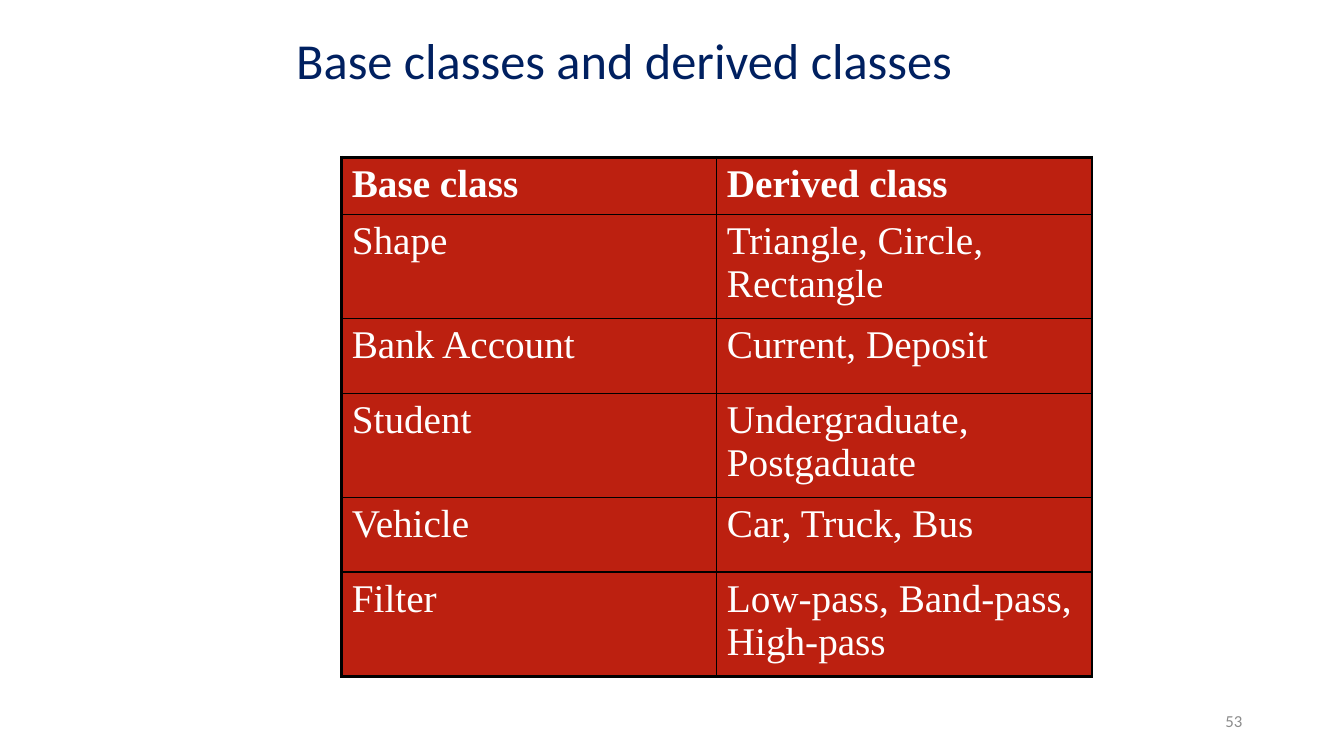
from typing import NamedTuple

from lxml.etree import SubElement
from pptx import Presentation
from pptx.dml.color import RGBColor
from pptx.enum.text import MSO_ANCHOR as Anchor, PP_ALIGN as Align
from pptx.oxml.ns import qn
from pptx.util import Inches, Pt

NAVY = RGBColor(0x00, 0x20, 0x60)
RED = RGBColor(0xBC, 0x20, 0x10)
WHITE = RGBColor(0xFF, 0xFF, 0xFF)
GRAY = RGBColor(0x8C, 0x8C, 0x8C)
BLACK = RGBColor(0x00, 0x00, 0x00)

OUTER_LINE = Pt(2.25)
INNER_LINE = Pt(1)
HEADER_HEIGHT = 0.2
ROW_HEIGHT = 0.74


class Label(NamedTuple):
    text: str
    left: float
    top: float
    width: float
    height: float
    size: int
    color: RGBColor
    align: Align
    line_spacing: float


class Family(NamedTuple):
    base: str
    derived: str


LABELS = [
    Label("Base classes and derived classes", 2.84, 0, 8.5, 1.25, 36, NAVY, Align.LEFT, 0.9),
    Label("53", 9.42, 6.95, 3, 0.4, 12, GRAY, Align.RIGHT, 1.0),
]

FAMILIES = [
    Family("Base class", "Derived class"),
    Family("Shape", "Triangle, Circle, Rectangle"),
    Family("Bank Account", "Current, Deposit"),
    Family("Student", "Undergraduate, Postgaduate"),
    Family("Vehicle", "Car, Truck, Bus"),
    Family("Filter", "Low-pass, Band-pass, High-pass"),
]


def style_font(font, name: str, size: int, color: RGBColor, bold: bool = False) -> None:
    for attribute, value in {"name": name, "size": Pt(size), "bold": bold}.items():
        setattr(font, attribute, value)
    font.color.rgb = color


def add_label(slide, label: Label) -> None:
    box = slide.shapes.add_textbox(
        Inches(label.left), Inches(label.top), Inches(label.width), Inches(label.height)
    )
    frame = box.text_frame
    frame.word_wrap = True
    frame.vertical_anchor = Anchor.MIDDLE
    line = frame.paragraphs[0]
    line.alignment = label.align
    line.line_spacing = label.line_spacing
    run = line.add_run()
    run.text = label.text
    style_font(run.font, "Calibri", label.size, label.color)


def set_borders(cell, widths: dict[str, int]) -> None:
    properties = cell._tc.get_or_add_tcPr()
    # Border lines must precede the fill in the cell properties
    for position, (side, width) in enumerate(widths.items()):
        line = SubElement(properties, qn(f"a:{side}"), w=str(width))
        fill = SubElement(line, qn("a:solidFill"))
        SubElement(fill, qn("a:srgbClr"), val=str(BLACK))
        properties.insert(position, line)


def add_class_table(slide, families: list[Family]) -> None:
    last_row, last_column = len(families) - 1, len(Family._fields) - 1
    height = HEADER_HEIGHT + last_row * ROW_HEIGHT
    table = slide.shapes.add_table(
        last_row + 1, last_column + 1,
        Inches(3.39), Inches(1.56), Inches(7.44), Inches(height),
    ).table
    table.first_row = table.horz_banding = False

    for r, family in enumerate(families):
        table.rows[r].height = Inches(ROW_HEIGHT if r else HEADER_HEIGHT)
        for c, text in enumerate(family):
            cell = table.cell(r, c)
            cell.fill.solid()
            cell.fill.fore_color.rgb = RED
            run = cell.text_frame.paragraphs[0].add_run()
            run.text = text
            style_font(run.font, "Times New Roman", 28, WHITE, bold=r == 0)
            on_edge = {"lnL": c == 0, "lnR": c == last_column,
                       "lnT": r == 0, "lnB": r == last_row}
            set_borders(cell, {side: OUTER_LINE if edge else INNER_LINE
                               for side, edge in on_edge.items()})


def main() -> None:
    deck = Presentation()
    deck.slide_width, deck.slide_height = Inches(13.33), Inches(7.5)
    slide = deck.slides.add_slide(deck.slide_layouts[6])

    # Title and page number
    for label in LABELS:
        add_label(slide, label)

    # Base and derived classes
    add_class_table(slide, FAMILIES)

    deck.save("out.pptx")


if __name__ == "__main__":
    main()
